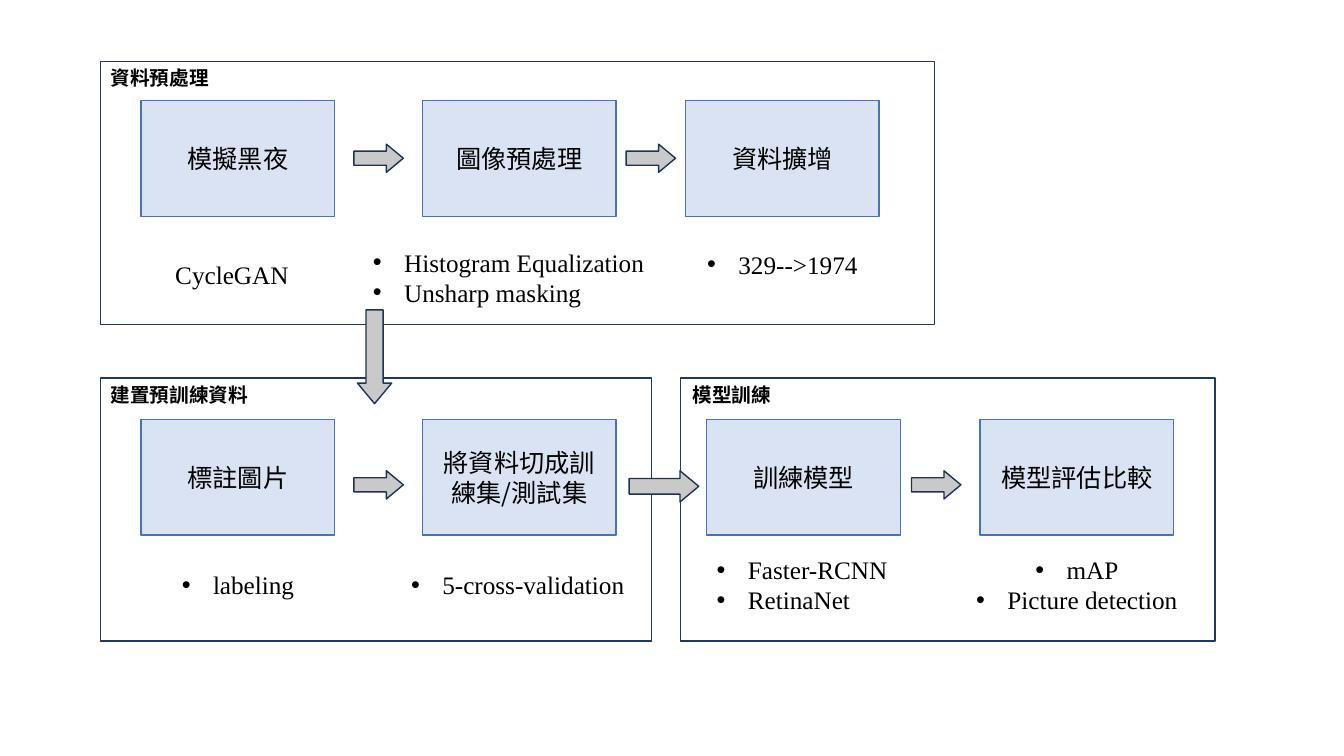
from lxml import etree
from pptx import Presentation
from pptx.dml.color import RGBColor
from pptx.enum import shapes, text
from pptx.oxml import ns
from pptx.util import Inches, Pt

COLORS = {"step": "DAE3F3", "step_line": "4472C4", "frame": "203864",
          "arrow": "C9C9C9", "arrow_line": "1E3256", "text": "000000"}
CJK, LATIN = "Noto Sans CJK SC", "Times New Roman"
LEFT, CENTER = text.PP_ALIGN.LEFT, text.PP_ALIGN.CENTER
STEP_WIDTH, STEP_HEIGHT = 1.92, 1.15

# Each step: label, left, arrow left (or None), notes, notes (left, top, width),
# alignment, bulleted. Places are relative to the region's top left corner.
REGIONS = [
    dict(box=(1, 0.61, 8.27, 2.61), title="資料預處理", step_top=0.39, arrow_top=0.82, steps=[
        ("模擬黑夜", 0.4, 2.51, ["CycleGAN"], (0.34, 1.91, 1.92), CENTER, False),
        ("圖像預處理", 3.19, 5.21, ["Histogram Equalization", "Unsharp masking"],
         (2.6, 1.79, 2.9), LEFT, True),
        ("資料擴增", 5.8, None, ["329-->1974"], (5.8, 1.81, 1.92), CENTER, True)]),
    dict(box=(1, 3.75, 5.46, 2.61), title="建置預訓練資料", steps=[
        ("標註圖片", 0.4, 2.51, ["labeling"], (0.4, 1.85, 1.92), CENTER, True),
        ("將資料切成訓練集/測試集", 3.19, None, ["5-cross-validation"],
         (2.97, 1.85, 2.33), CENTER, True)]),
    dict(box=(6.75, 3.75, 5.3, 2.61), title="模型訓練", title_left=0.02, steps=[
        ("訓練模型", 0.26, 2.29, ["Faster-RCNN", "RetinaNet"], (0.26, 1.7, 1.92), LEFT, True),
        ("模型評估比較", 2.97, None, ["mAP", "Picture detection"],
         (2.79, 1.7, 2.28), CENTER, True)]),
]


def write(frame, lines, font=CJK, size=18, bold=False, align=LEFT, bullet=False):
    frame.word_wrap = True
    for index, line in enumerate(lines):
        paragraph = frame.paragraphs[0] if index == 0 else frame.add_paragraph()
        paragraph.alignment = align
        run = paragraph.add_run()
        run.text = line
        run.font.name, run.font.size, run.font.bold = font, Pt(size), bold
        run.font.color.rgb = RGBColor.from_string(COLORS["text"])
        # East Asian typeface
        latin = run._r.get_or_add_rPr().find(ns.qn("a:latin"))
        east_asian = etree.Element(ns.qn("a:ea"), typeface=font)
        latin.addnext(east_asian)
        if bullet:
            properties = paragraph._p.get_or_add_pPr()
            properties.set("marL", str(Inches(0.31)))
            properties.set("indent", str(-Inches(0.31)))
            etree.SubElement(properties, ns.qn("a:buFont"), typeface="Arial")
            etree.SubElement(properties, ns.qn("a:buChar"), char="•")


def add_text(slide, left, top, width, height, lines, **style):
    box = slide.shapes.add_textbox(Inches(left), Inches(top), Inches(width), Inches(height))
    write(box.text_frame, lines, **style)


def add_block(slide, kind, left, top, width, height, line, fill=None):
    shape = slide.shapes.add_shape(kind, Inches(left), Inches(top), Inches(width), Inches(height))
    shape.shadow.inherit = False
    if fill:
        shape.fill.solid()
        shape.fill.fore_color.rgb = RGBColor.from_string(COLORS[fill])
    else:
        shape.fill.background()
    shape.line.color.rgb = RGBColor.from_string(COLORS[line])
    shape.line.width = Pt(1)
    return shape


def add_arrow(slide, left, top, width=0.49, height=0.28, rotation=0):
    arrow = add_block(slide, shapes.MSO_SHAPE.RIGHT_ARROW, left, top, width, height,
                      "arrow_line", "arrow")
    arrow.adjustments[0], arrow.adjustments[1] = 0.5, 0.6
    arrow.rotation = rotation


def add_region(slide, box, title, steps, step_top=0.41, arrow_top=0.92, title_left=0):
    left, top, width, height = box
    rectangle = shapes.MSO_SHAPE.RECTANGLE
    # Frame and heading
    add_block(slide, rectangle, left, top, width, height, "frame")
    add_text(slide, left + title_left, top, 2.1, 0.34, [title], size=14, bold=True)
    for label, step_left, arrow_left, notes, notes_place, align, bullet in steps:
        # Step box
        step = add_block(slide, rectangle, left + step_left, top + step_top,
                         STEP_WIDTH, STEP_HEIGHT, "step_line", "step")
        step.text_frame.vertical_anchor = text.MSO_ANCHOR.MIDDLE
        write(step.text_frame, [label], align=align if not bullet else CENTER)
        # Notes below the step
        notes_left, notes_top, notes_width = notes_place
        add_text(slide, left + notes_left, top + notes_top, notes_width,
                 0.1 + 0.3 * len(notes), notes, font=LATIN, align=align, bullet=bullet)
        # Arrow to the next step
        if arrow_left is not None:
            add_arrow(slide, left + arrow_left, top + arrow_top)


def main():
    presentation = Presentation()
    presentation.slide_width, presentation.slide_height = Inches(13.33), Inches(7.5)
    slide = presentation.slides.add_slide(presentation.slide_layouts[6])
    for region in REGIONS:
        add_region(slide, **region)
    # Arrows between regions
    add_arrow(slide, 3.25, 3.37, 0.93, 0.34, rotation=90)
    add_arrow(slide, 6.24, 4.67, 0.69, 0.31)
    presentation.save("out.pptx")


if __name__ == "__main__":
    main()
